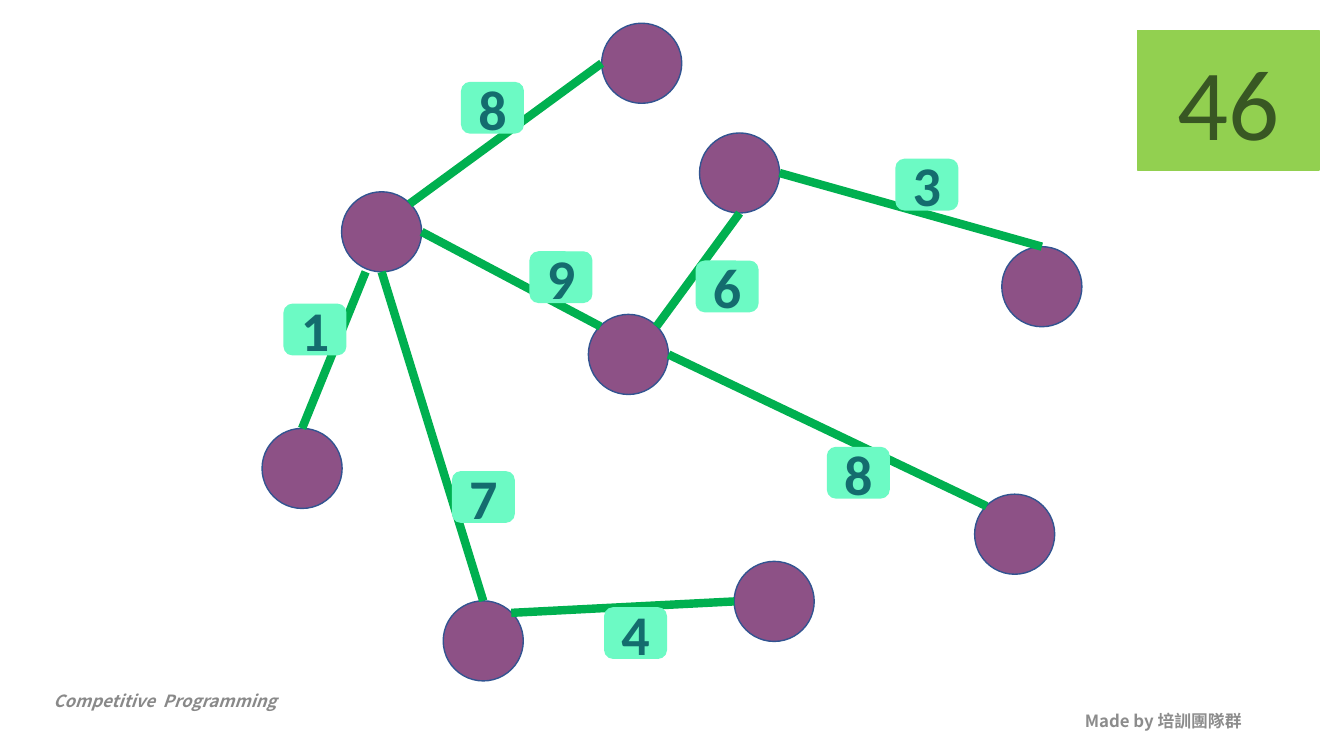
from dataclasses import dataclass

from lxml import etree
from pptx import Presentation
from pptx import util as u
from pptx.dml.color import RGBColor
from pptx.enum import shapes, text
from pptx.oxml import ns

Pt = u.Pt


@dataclass(frozen=True)
class Theme:
    """Colours, fonts and sizes of the slide."""
    node: str = "8D5186"
    node_line: str = "325491"
    edge: str = "00B050"
    weight: str = "6CFAC4"
    weight_text: str = "146C6E"
    total: str = "92D050"
    total_text: str = "385723"
    course_text: str = "898989"
    credit_text: str = "8C8C8C"
    font: str = "Calibri"
    footer_font: str = "Noto Sans CJK SC"
    weight_size: int = 40
    total_size: int = 72
    footer_size: int = 12
    edge_width: int = 6
    outline_width: int = 1


THEME = Theme()
DIAMETER = 57.2
WEIGHT_SIZE = (44, 36)

NODES = {
    "hub": (244, 137), "top": (429.8, 16.6), "upper": (499.7, 95),
    "middle": (420.3, 224.6), "left": (187.2, 306), "right": (715.6, 176.2),
    "lower": (524.4, 401), "bottom": (316.6, 429.2), "corner": (696.2, 353),
}
SITES = {
    "n": (0.5, 0), "e": (1, 0.5), "s": (0.5, 1), "w": (0, 0.5),
    "nw": (0.15, 0.15), "ne": (0.85, 0.15), "sw": (0.3, 1),
}
EDGES = [
    ("hub", "ne", "top", "w", 8, (329.8, 59)),
    ("hub", "sw", "left", "n", 1, (203, 217.4)),
    ("hub", "s", "bottom", "n", 7, (323.3, 337)),
    ("hub", "e", "middle", "nw", 9, (378.7, 180)),
    ("middle", "ne", "upper", "s", 6, (497.4, 186.6)),
    ("middle", "e", "corner", "nw", 8, (591.1, 319.7)),
    ("upper", "e", "right", "n", 3, (640.1, 113.9)),
    ("bottom", "ne", "lower", "w", 4, (432, 434.2)),
]


def style_text(shape, wording, font, size, color, bold=False, italic=False,
               align=text.PP_ALIGN.CENTER, anchor=text.MSO_ANCHOR.MIDDLE):
    """Write one line of text in a shape and format it."""
    frame = shape.text_frame
    frame.word_wrap = True
    frame.vertical_anchor = anchor
    frame.text = wording
    paragraph = frame.paragraphs[0]
    paragraph.alignment = align
    run = paragraph.runs[0]
    run.font.name = font
    run.font.size = Pt(size)
    run.font.bold = bold
    run.font.italic = italic
    run.font.color.rgb = RGBColor.from_string(color)
    east_asian = etree.SubElement(run.font._element, ns.qn("a:ea"))
    east_asian.set("typeface", font)


def add_filled(slide, kind, box, fill, line):
    """Add a preset shape with a plain fill and a thin outline."""
    shape = slide.shapes.add_shape(kind, *map(Pt, box))
    shape.shadow.inherit = False
    shape.fill.solid()
    shape.fill.fore_color.rgb = RGBColor.from_string(fill)
    shape.line.color.rgb = RGBColor.from_string(line)
    shape.line.width = Pt(THEME.outline_width)
    return shape


def add_edge(slide, start, end):
    """Draw a thick straight edge between two points."""
    edge = slide.shapes.add_connector(
        shapes.MSO_CONNECTOR.STRAIGHT, *map(Pt, start + end))
    edge.line.color.rgb = RGBColor.from_string(THEME.edge)
    edge.line.width = Pt(THEME.edge_width)
    etree.SubElement(edge._element.spPr, ns.qn("a:effectLst"))


def add_graph(slide, left, top):
    """Draw the weighted tree from the given corner."""
    def site_point(node, site):
        """Return the point where an edge meets a node."""
        x, y = NODES[node]
        across, down = SITES[site]
        return left + x + across * DIAMETER, top + y + down * DIAMETER

    for x, y in NODES.values():
        add_filled(slide, shapes.MSO_SHAPE.OVAL,
                   (left + x, top + y, DIAMETER, DIAMETER),
                   THEME.node, THEME.node_line)
    for source, source_site, target, target_site, _, _ in EDGES:
        add_edge(slide, site_point(source, source_site),
                 site_point(target, target_site))
    for *_, weight, (x, y) in EDGES:
        label = add_filled(slide, shapes.MSO_SHAPE.ROUNDED_RECTANGLE,
                           (left + x, top + y, *WEIGHT_SIZE),
                           THEME.weight, THEME.weight)
        style_text(label, str(weight), THEME.font, THEME.weight_size,
                   THEME.weight_text, bold=True)


def add_total(slide, box):
    """Show the sum of all edge weights."""
    total = add_filled(slide, shapes.MSO_SHAPE.RECTANGLE, box,
                       THEME.total, THEME.total)
    style_text(total, str(sum(edge[4] for edge in EDGES)), THEME.font,
               THEME.total_size, THEME.total_text)


def add_footer(slide, left, top, width):
    """Place the course name at the left and the makers at the right."""
    course = slide.shapes.add_textbox(
        Pt(left), Pt(top), Pt(306), Pt(21.6))
    style_text(course, "Competitive  Programming", THEME.footer_font,
               THEME.footer_size, THEME.course_text, bold=True, italic=True,
               align=text.PP_ALIGN.LEFT, anchor=text.MSO_ANCHOR.TOP)
    credit = slide.shapes.add_textbox(
        Pt(left + width - 216), Pt(top + 10.8), Pt(216), Pt(28.8))
    style_text(credit, "Made by 培訓團隊群", THEME.footer_font,
               THEME.footer_size, THEME.credit_text, bold=True,
               align=text.PP_ALIGN.RIGHT)


def main():
    """Build and save the presentation."""
    presentation = Presentation()
    presentation.slide_width = Pt(960)
    presentation.slide_height = Pt(540)
    slide = presentation.slides.add_slide(presentation.slide_layouts[6])
    add_footer(slide, 31, 489.6, 863)
    add_graph(slide, 0, 0)
    add_total(slide, (812.7, 22, 129.6, 99.4))
    presentation.save("out.pptx")


if __name__ == "__main__":
    main()
